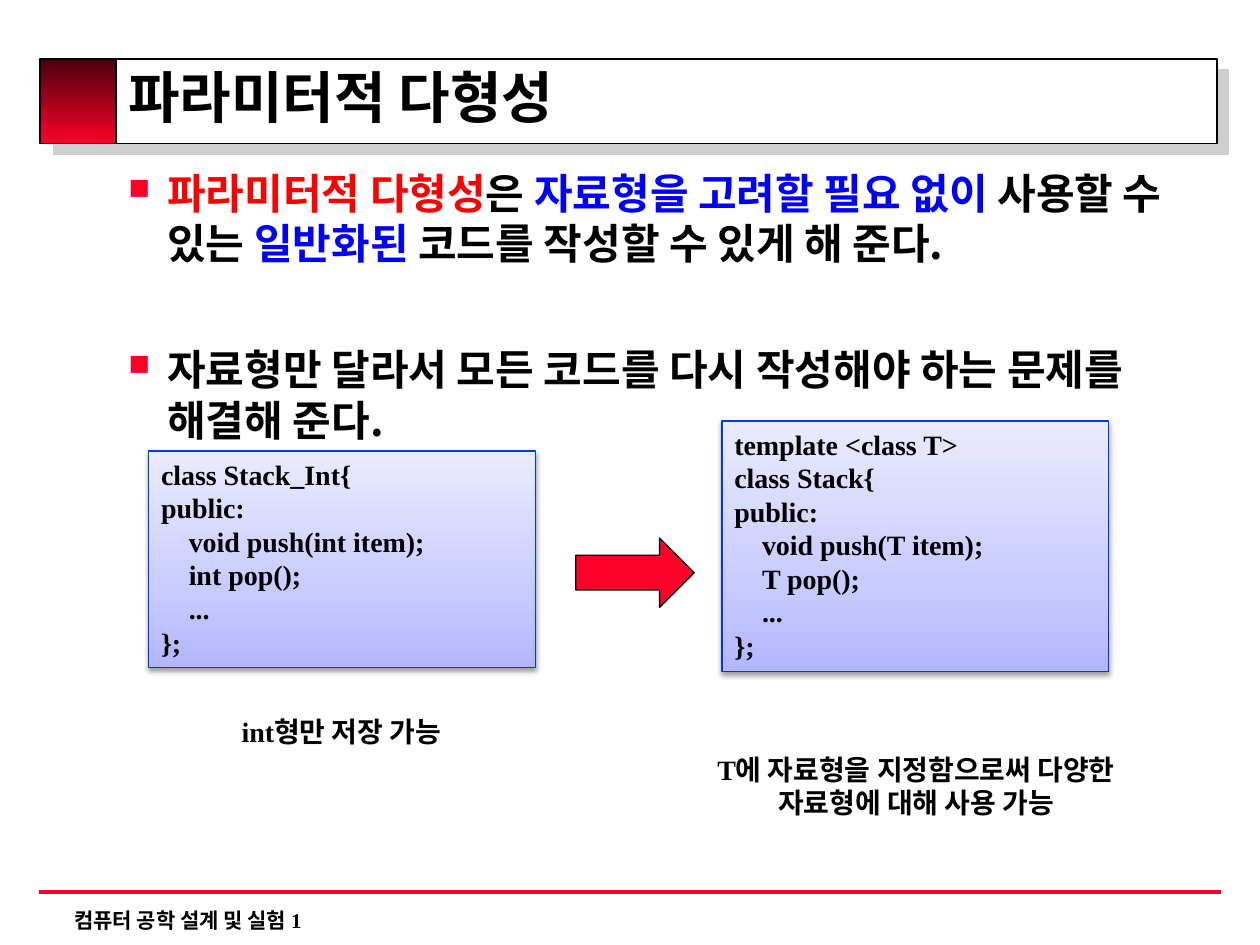
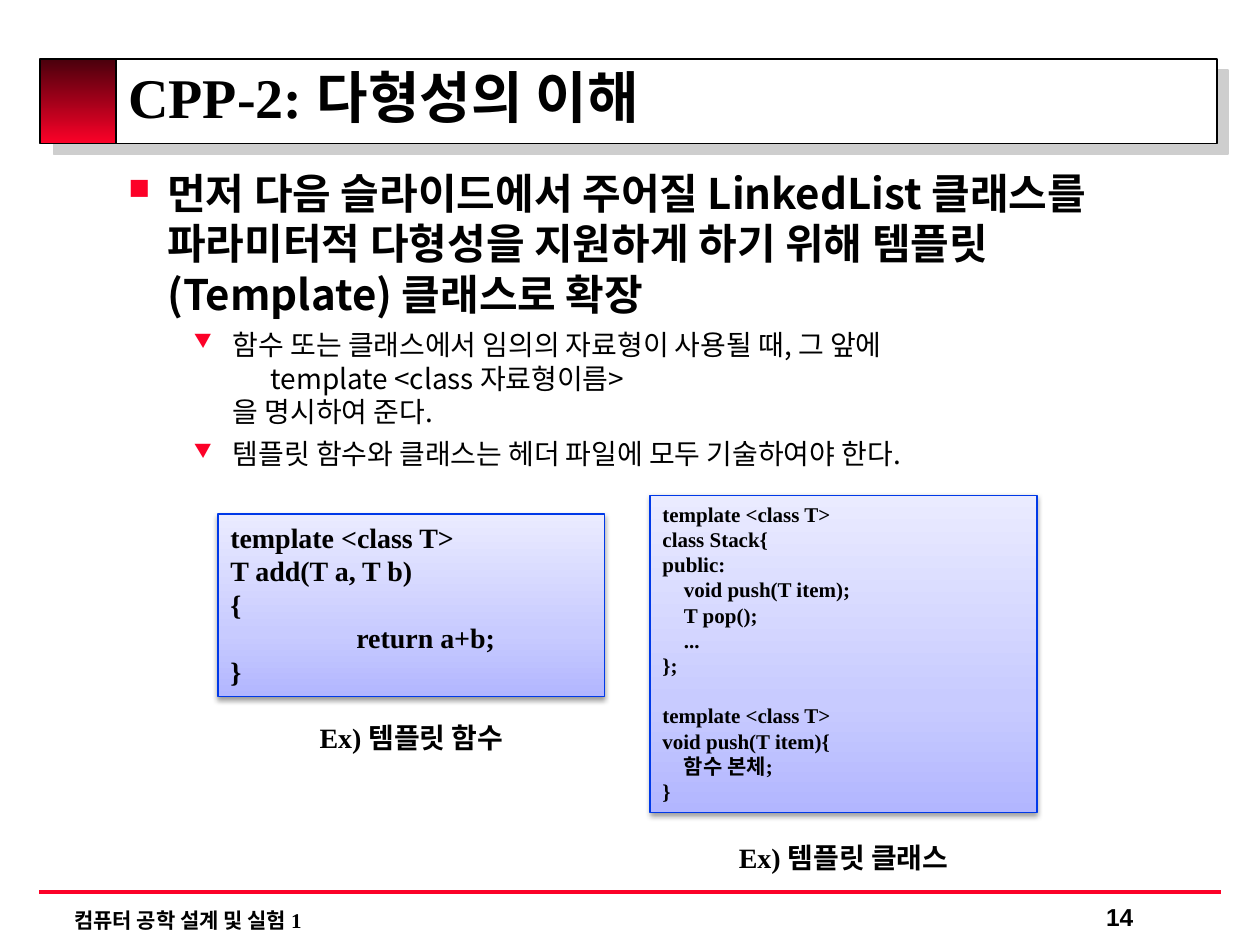
"""Build two lecture slides on parametric polymorphism and C++ templates."""
import dataclasses

import lxml.etree
import pptx
import pptx.dml.color
import pptx.enum.shapes
import pptx.enum.text
import pptx.oxml.ns
import pptx.util

PX = 9144
RGB = pptx.dml.color.RGBColor
SHAPE = pptx.enum.shapes.MSO_SHAPE
ALIGN = pptx.enum.text.PP_ALIGN
ANCHOR = pptx.enum.text.MSO_ANCHOR

BLACK = RGB(0x00, 0x00, 0x00)
WHITE = RGB(0xFF, 0xFF, 0xFF)
CRIMSON = RGB(0xFC, 0x01, 0x28)
MAROON = RGB(0x4A, 0x00, 0x0C)
RED = RGB(0xFF, 0x00, 0x00)
BLUE = RGB(0x00, 0x00, 0xFF)
CODE_BORDER = RGB(0x00, 0x39, 0xE8)
SHADOW_GRAY = RGB(0xCE, 0xCE, 0xCE)
HEADER_STOPS = ((0, MAROON), (100, CRIMSON))
CODE_STOPS = (
    (0, RGB(0xB2, 0xB6, 0xFF)),
    (35, RGB(0xC8, 0xCB, 0xFF)),
    (100, RGB(0xEA, 0xEB, 0xFF)),
)

SERIF = "Times New Roman"
KOREAN = "Noto Sans CJK KR"
LINE_HEIGHT = 1.2
HANG = 31
CODE_WIDTH = 307


@dataclasses.dataclass(frozen=True)
class Box:
    """Position and size in px."""

    left: int
    top: int
    width: int
    height: int

    def emu(self) -> tuple[int, ...]:
        """Return the four lengths in EMU."""
        return tuple(value * PX for value in dataclasses.astuple(self))


@dataclasses.dataclass(frozen=True)
class Shadow:
    """Outer shadow; blur and distance in points, direction in degrees."""

    color: RGB
    opacity: int
    blur: float
    distance: float
    direction: int


@dataclasses.dataclass(frozen=True)
class Line:
    """One paragraph made of (text, colour) runs."""

    runs: tuple[tuple[str, RGB], ...]
    size: int = 16
    bold: bool = True
    font: str = SERIF
    indent: int = 0
    bullet: str = ""
    space_before: float = 0
    spacing: float | None = None
    align: ALIGN = ALIGN.LEFT


@dataclasses.dataclass(frozen=True)
class Code:
    """A code panel; each entry is (indent in px, text), None opens a gap."""

    left: int
    top: int
    height: int
    size: int
    entries: tuple[tuple[int, str] | None, ...]


@dataclasses.dataclass(frozen=True)
class Caption:
    """A centred label."""

    box: Box
    text: str


@dataclasses.dataclass(frozen=True)
class Lesson:
    """Everything that changes from slide to slide."""

    title: str
    body: tuple[Line, ...]
    codes: tuple[Code, ...]
    captions: tuple[Caption, ...]
    arrow: Box | None = None
    number: str = ""


PANEL_SHADOW = Shadow(BLACK, 38, 3.1, 1.6, 90)
BANNER_SHADOW = Shadow(SHADOW_GRAY, 100, 0, 8.5, 45)
TITLE_SHADOW = Shadow(SHADOW_GRAY, 100, 0, 3, 45)


def add_xml(parent, tag: str, **attributes):
    """Append a DrawingML child with the given attributes."""
    values = {name: str(value) for name, value in attributes.items()}
    return lxml.etree.SubElement(parent, pptx.oxml.ns.qn(f"a:{tag}"), values)


def add_shadow(properties, shadow: Shadow) -> None:
    """Append an outer shadow to shape or run properties."""
    outer = add_xml(
        add_xml(properties, "effectLst"), "outerShdw",
        blurRad=pptx.util.Pt(shadow.blur), dist=pptx.util.Pt(shadow.distance),
        dir=shadow.direction * 60000, algn="tl", rotWithShape=0,
    )
    color = add_xml(outer, "srgbClr", val=shadow.color)
    add_xml(color, "alpha", val=shadow.opacity * 1000)


def fill_gradient(shape, stops, angle: int) -> None:
    """Fill a shape with a linear gradient."""
    shape.fill.gradient()
    shape.fill.gradient_angle = angle
    stop_list = shape._element.spPr.find(".//" + pptx.oxml.ns.qn("a:gsLst"))
    stop_list.clear()
    for position, color in stops:
        stop = add_xml(stop_list, "gs", pos=position * 1000)
        add_xml(stop, "srgbClr", val=color)


def add_panel(slide, kind: SHAPE, box: Box, border: RGB, width: float,
              fill=WHITE, angle: int = 0, shadow: Shadow | None = None):
    """Draw a bordered preset shape with a solid or gradient fill."""
    shape = slide.shapes.add_shape(kind, *box.emu())
    if isinstance(fill, RGB):
        shape.fill.solid()
        shape.fill.fore_color.rgb = fill
    else:
        fill_gradient(shape, fill, angle)
    shape.line.color.rgb = border
    shape.line.width = pptx.util.Pt(width)
    if shadow:
        add_shadow(shape._element.spPr, shadow)
    else:
        shape.shadow.inherit = False
    return shape


def format_paragraph(paragraph, line: Line) -> None:
    """Apply a line's layout, bullet, font and runs to a paragraph."""
    properties = paragraph._p.get_or_add_pPr()
    properties.set("marL", str(line.indent * PX))
    properties.set("indent", str(-HANG * PX if line.bullet else 0))
    if line.bullet:
        add_xml(add_xml(properties, "buClr"), "srgbClr", val=CRIMSON)
        add_xml(properties, "buSzPct", val=70000)
        add_xml(properties, "buChar", char=line.bullet)
    paragraph.alignment = line.align
    paragraph.space_before = pptx.util.Pt(line.space_before)
    paragraph.line_spacing = line.spacing or pptx.util.Pt(line.size * LINE_HEIGHT)
    paragraph.font.size = pptx.util.Pt(line.size)
    paragraph.font.bold = line.bold
    paragraph.font.name = line.font
    add_xml(paragraph.font._element, "ea", typeface=KOREAN)
    for text, color in line.runs:
        run = paragraph.add_run()
        run.text = text
        run.font.color.rgb = color


def write_lines(shape, lines, anchor: ANCHOR = ANCHOR.TOP):
    """Fill a shape with lines and return its text frame."""
    frame = shape.text_frame
    frame.word_wrap = True
    frame.vertical_anchor = anchor
    for index, line in enumerate(lines):
        paragraph = frame.add_paragraph() if index else frame.paragraphs[0]
        format_paragraph(paragraph, line)
    return frame


def add_text(slide, box: Box, *lines: Line, anchor: ANCHOR = ANCHOR.TOP):
    """Add a text box and return its text frame."""
    return write_lines(slide.shapes.add_textbox(*box.emu()), lines, anchor)


def plain(text: str, **style) -> Line:
    """Return a line with one black run."""
    return Line(((text, BLACK),), **style)


def point(*runs: tuple[str, RGB], space_before: float = 0) -> Line:
    """Return a main bullet."""
    return Line(runs, 24, True, KOREAN, HANG, "■", space_before)


def detail(text: str, bullet: str = "▼", indent: int = 83) -> Line:
    """Return a secondary bullet or, without a bullet, its continuation."""
    return plain(text, bold=False, font=KOREAN, indent=indent, bullet=bullet,
                 space_before=5 if bullet else 0)


def add_code(slide, code: Code) -> None:
    """Draw a code panel."""
    box = Box(code.left, code.top, CODE_WIDTH, code.height)
    panel = add_panel(slide, SHAPE.RECTANGLE, box, CODE_BORDER, 0.75,
                      CODE_STOPS, 90, PANEL_SHADOW)
    lines = []
    gap = 0.0
    for entry in code.entries:
        if entry is None:
            gap = code.size * LINE_HEIGHT
            continue
        indent, text = entry
        lines.append(plain(text, size=code.size, indent=indent, space_before=gap))
        gap = 0.0
    write_lines(panel, lines)


def add_frame(slide, title: str) -> None:
    """Draw the banner, title, rule and footer shared by all slides."""
    add_panel(slide, SHAPE.RECTANGLE, Box(34, 47, 932, 67), BLACK, 1,
              shadow=BANNER_SHADOW)
    add_panel(slide, SHAPE.RECTANGLE, Box(32, 47, 60, 67), BLACK, 1,
              HEADER_STOPS, 270)
    add_text(slide, Box(49, 715, 668, 30), plain("컴퓨터 공학 설계 및 실험 1", size=12))
    rule = slide.shapes.add_connector(
        pptx.enum.shapes.MSO_CONNECTOR.STRAIGHT,
        31 * PX, 708 * PX, 969 * PX, 708 * PX)
    rule.line.color.rgb = CRIMSON
    rule.line.width = pptx.util.Pt(2.25)
    add_xml(rule._element.spPr, "effectLst")
    frame = add_text(slide, Box(92, 44, 877, 75),
                     plain(title, size=32, spacing=0.8), anchor=ANCHOR.MIDDLE)
    add_shadow(frame.paragraphs[0].runs[0].font._element, TITLE_SHADOW)


def build_slide(presentation, lesson: Lesson) -> None:
    """Add one lesson slide."""
    slide = presentation.slides.add_slide(presentation.slide_layouts[6])
    add_frame(slide, lesson.title)
    body = add_text(slide, Box(92, 125, 877, 531), *lesson.body)
    body.margin_top = 8 * PX
    if lesson.number:
        add_text(slide, Box(868, 711, 108, 33),
                 plain(lesson.number, size=14, font="Arial"))
    for code in lesson.codes:
        add_code(slide, code)
    if lesson.arrow:
        add_panel(slide, SHAPE.RIGHT_ARROW, lesson.arrow, BLACK, 0.75, CRIMSON)
    for caption in lesson.captions:
        add_text(slide, caption.box, plain(caption.text, align=ALIGN.CENTER))


def stack_class(name: str, item: str, indent: int) -> tuple[tuple[int, str], ...]:
    """Return the declaration of a stack class."""
    return ((0, f"class {name}{{"), (0, "public:"),
            (indent, f"void push({item} item);"), (indent, f"{item} pop();"),
            (indent, "..."), (0, "};"))


TEMPLATE = (0, "template <class T>")
LESSONS = (
    Lesson(
        "파라미터적 다형성",
        (point(("파라미터적 다형성", RED), ("은 ", BLACK),
               ("자료형을 고려할 필요 없이", BLUE), (" 사용할 수 있는 ", BLACK),
               ("일반화된", BLUE), (" 코드를 작성할 수 있게 해 준다.", BLACK)),
         point(("자료형만 달라서 모든 코드를 다시 작성해야 하는 문제를 해결해 준다.", BLACK),
               space_before=43)),
        (Code(118, 358, 172, 16, stack_class("Stack_Int", "int", 22)),
         Code(573, 334, 199, 16, (TEMPLATE, *stack_class("Stack", "T", 22)))),
        (Caption(Box(161, 562, 220, 37), "int형만 저장 가능"),
         Caption(Box(554, 592, 346, 64),
                 "T에 자료형을 지정함으로써 다양한 자료형에 대해 사용 가능")),
        arrow=Box(457, 427, 94, 55),
    ),
    Lesson(
        "CPP-2: 다형성의 이해",
        (point(("먼저 다음 슬라이드에서 주어질 LinkedList 클래스를 파라미터적 다형성을 "
                "지원하게 하기 위해 템플릿(Template) 클래스로 확장", BLACK)),
         detail("함수 또는 클래스에서 임의의 자료형이 사용될 때, 그 앞에"),
         detail("template <class 자료형이름>", "", 113),
         detail("을 명시하여 준다.", ""),
         detail("템플릿 함수와 클래스는 헤더 파일에 모두 기술하여야 한다.")),
        (Code(173, 408, 145, 16, (TEMPLATE, (0, "T add(T a, T b)"), (0, "{"),
                                  (100, "return a+b;"), (0, "}"))),
         Code(516, 393, 252, 12, (TEMPLATE, *stack_class("Stack", "T", 17), None,
                                  TEMPLATE, (0, "void push(T item){"),
                                  (17, "함수 본체;"), (0, "}")))),
        (Caption(Box(236, 567, 181, 37), "Ex) 템플릿 함수"),
         Caption(Box(567, 662, 205, 37), "Ex) 템플릿 클래스")),
        number="14",
    ),
)


def main() -> None:
    """Build and save the presentation."""
    presentation = pptx.Presentation()
    presentation.slide_width = 1000 * PX
    presentation.slide_height = 750 * PX
    for lesson in LESSONS:
        build_slide(presentation, lesson)
    presentation.save("out.pptx")


if __name__ == "__main__":
    main()
